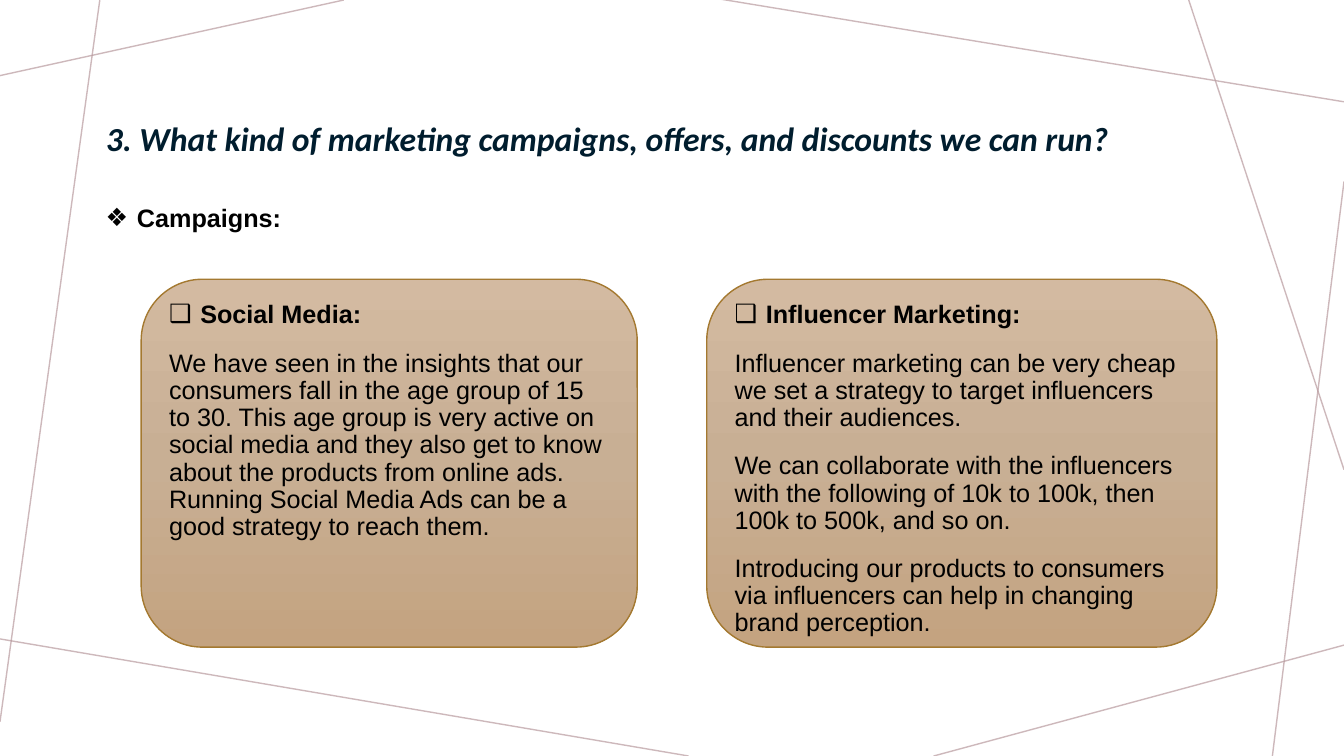
from copy import deepcopy
from lxml.etree import SubElement
from pptx import Presentation
from pptx.dml.color import RGBColor
from pptx.enum.shapes import MSO_CONNECTOR, MSO_SHAPE
from pptx.enum.text import MSO_ANCHOR, MSO_AUTO_SIZE, PP_ALIGN
from pptx.oxml.ns import qn
from pptx.util import Inches, Pt

COLORS = {"rule": "B99B9F", "title": "001D2E", "text": "000000", "border": "A47930"}
GRADIENT = [(0, "D3BAA1"), (0.5, "C8AF94"), (1, "C4A380")]

TITLE = "3. What kind of marketing campaigns, offers, and discounts we can run?"
SECTION = "Campaigns:"
CARDS = [
    (1.4, 4.92, "Social Media:", [
        "We have seen in the insights that our consumers fall in the age group of 15 to 30. "
        "This age group is very active on social media and they also get to know about the "
        "products from online ads. Running Social Media Ads can be a good strategy to reach them.",
    ]),
    (7.01, 5.06, "Influencer Marketing:", [
        "Influencer marketing can be very cheap we set a strategy to target influencers "
        "and their audiences.",
        "We can collaborate with the influencers with the following of 10k to 100k, "
        "then 100k to 500k, and so on.",
        "Introducing our products to consumers via influencers can help in changing "
        "brand perception.",
    ]),
]
CARD_TOP, CARD_HEIGHT = 2.77, 3.65
RULES = [
    (3.41, 0, 0, 0.75),
    (0.99, 0, 0, 7.16),
    (6.83, 7.5, -0.05, 6.33),
    (13.33, 6.4, 9.26, 7.5),
    (13.33, 1.8, 12.62, 7.5),
    (13.33, 4.66, 11.79, 0),
    (13.33, 1.01, 7.14, -0.01),
]


def rgb(value):
    return RGBColor.from_string(value)


def add_rule(slide, ends):
    line = slide.shapes.add_connector(MSO_CONNECTOR.STRAIGHT, *map(Inches, ends))
    line.line.width = Pt(1)
    line.line.color.rgb = rgb(COLORS["rule"])
    spPr = line._element.spPr
    color = spPr.find(".//" + qn("a:srgbClr"))
    SubElement(color, qn("a:alpha")).set("val", "70000")
    SubElement(spPr, qn("a:effectLst"))


def add_run(p, text, size, font, color, bold=False, italic=False):
    r = p.add_run()
    r.text = text
    r.font.size = Pt(size)
    r.font.name = font
    r.font.color.rgb = rgb(color)
    r.font.bold = bold
    r.font.italic = italic


def write_paragraph(p, text, bullet=None):
    p.alignment = PP_ALIGN.LEFT
    p.line_spacing = 0.9
    p.space_before = Pt(10)
    p.space_after = Pt(5)
    if bullet:
        pPr = p._p.get_or_add_pPr()
        pPr.set("marL", str(Inches(0.31)))
        pPr.set("indent", str(-Inches(0.31)))
        SubElement(pPr, qn("a:buFont")).set("typeface", "Arial")
        SubElement(pPr, qn("a:buChar")).set("char", bullet)
    add_run(p, text, 18, "Arial", COLORS["text"], bold=bool(bullet))


def fill_gradient(sp):
    sp.fill.gradient()
    sp.fill.gradient_angle = 270
    stops = sp._element.spPr.find(".//" + qn("a:gsLst"))
    stops.append(deepcopy(stops[-1]))
    for stop, (position, color) in zip(sp.fill.gradient_stops, GRADIENT):
        stop.position = position
        stop.color.rgb = rgb(color)


def add_card(slide, left, width, heading, paragraphs):
    sp = slide.shapes.add_shape(
        MSO_SHAPE.ROUNDED_RECTANGLE,
        Inches(left), Inches(CARD_TOP), Inches(width), Inches(CARD_HEIGHT))
    sp.shadow.inherit = False
    fill_gradient(sp)
    sp.line.color.rgb = rgb(COLORS["border"])
    sp.line.width = Pt(1)
    tf = sp.text_frame
    tf.word_wrap = True
    tf.vertical_anchor = MSO_ANCHOR.TOP
    write_paragraph(tf.paragraphs[0], heading, "❑")
    for text in paragraphs:
        write_paragraph(tf.add_paragraph(), text)


def main():
    prs = Presentation()
    prs.slide_width, prs.slide_height = Inches(13.33), Inches(7.5)
    slide = prs.slides.add_slide(prs.slide_layouts[5])

    for ends in RULES:
        add_rule(slide, ends)

    title = slide.shapes.title
    title.left, title.top = Inches(0.95), Inches(0.74)
    title.width, title.height = Inches(11.5), Inches(0.88)
    tf = title.text_frame
    tf.auto_size = MSO_AUTO_SIZE.NONE
    tf.vertical_anchor = MSO_ANCHOR.BOTTOM
    p = tf.paragraphs[0]
    p.alignment = PP_ALIGN.JUSTIFY
    p.line_spacing = 0.9
    add_run(p, TITLE, 24, "Calibri", COLORS["title"], bold=True, italic=True)

    section = slide.shapes.add_textbox(
        Inches(0.95), Inches(1.99), Inches(11.12), Inches(0.5))
    section.text_frame.word_wrap = True
    write_paragraph(section.text_frame.paragraphs[0], SECTION, "❖")

    for card in CARDS:
        add_card(slide, *card)

    prs.save("out.pptx")


if __name__ == "__main__":
    main()
